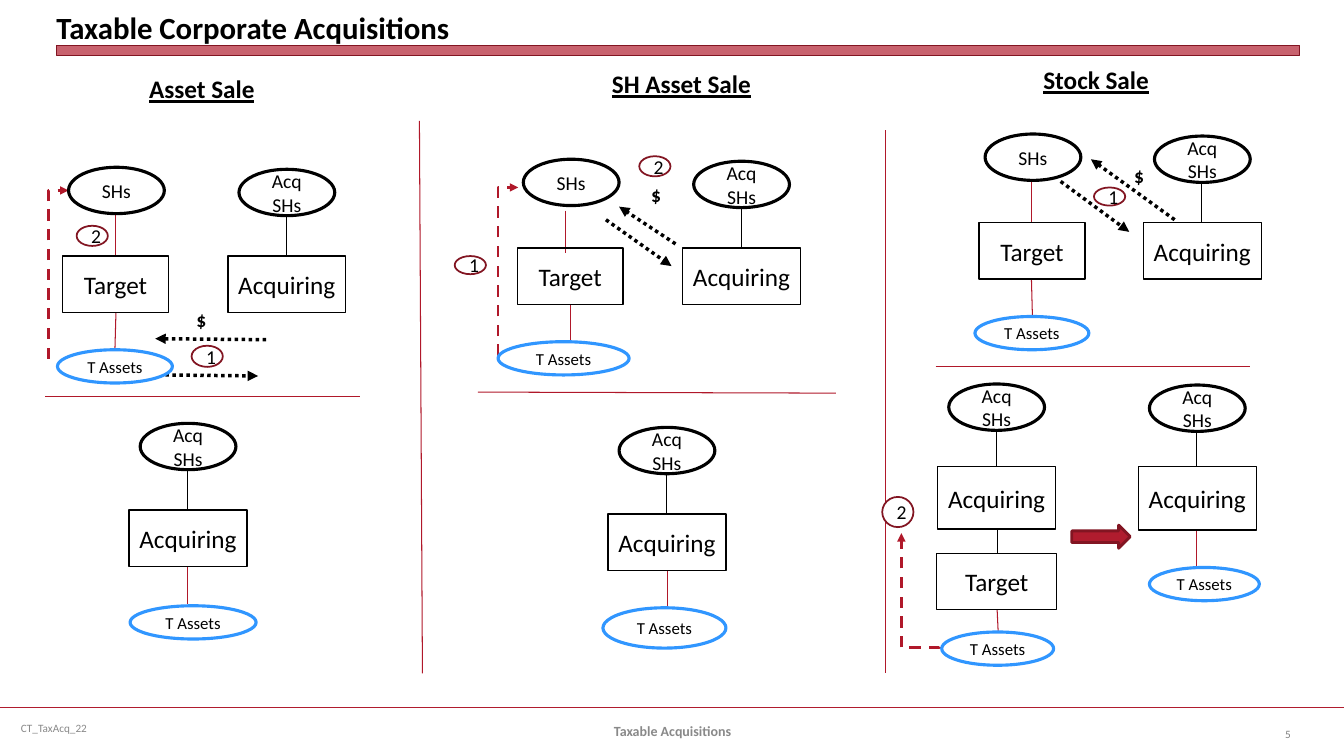
"""Build the slide that compares three forms of taxable corporate acquisition."""
from typing import NamedTuple

from lxml import etree
from pptx import Presentation
from pptx import util as u
from pptx.dml.color import RGBColor
from pptx.enum import dml, shapes, text
from pptx.oxml.ns import qn

BLACK, WHITE, GREY = "000000", "FFFFFF", "898989"
RED, BRAND_RED, DARK_RED, BLUE = "B0182A", "B01C2E", "821522", "3096FF"
RECTANGLE, OVAL = shapes.MSO_SHAPE.RECTANGLE, shapes.MSO_SHAPE.OVAL
LEFT, CENTER, RIGHT = text.PP_ALIGN.LEFT, text.PP_ALIGN.CENTER, text.PP_ALIGN.RIGHT
DOTTED, DASHED = dml.MSO_LINE.ROUND_DOT, dml.MSO_LINE.DASH


class Style(NamedTuple):
    preset: shapes.MSO_SHAPE
    line: str
    weight: float
    size: float = 18
    fill: str = ""


class Node(NamedTuple):
    style: Style
    left: float
    top: float
    width: float
    height: float
    words: str = ""


class Link(NamedTuple):
    start: tuple[float, float]
    end: tuple[float, float]
    color: str = RED
    weight: float = 0.75
    dash: dml.MSO_LINE | None = None
    arrow: bool = False


class Label(NamedTuple):
    words: str
    left: float
    top: float
    width: float
    height: float = 0.4
    size: float = 18
    color: str = BLACK
    bold: bool = True
    underline: bool = False
    align: text.PP_ALIGN = LEFT
    footer: bool = False


class Acquirer(NamedTuple):
    left: float
    top: float
    height: float = 0.56
    rise: float = 0.86
    owners: str = "Acq\nSHs"


COMPANY = Style(RECTANGLE, BLACK, 1)
HOLDERS = Style(OVAL, BLACK, 2.25, 14)
ASSETS = Style(OVAL, BLUE, 2.25, 12)
STEP = Style(OVAL, DARK_RED, 1.25, 14, WHITE)
TITLE_BAR = Style(RECTANGLE, DARK_RED, 0, fill=BRAND_RED)
RESULT = Style(shapes.MSO_SHAPE.RIGHT_ARROW, DARK_RED, 2, fill=BRAND_RED)

ACQUIRERS = [
    Acquirer(2.26, 2.54, owners="Acq SHs"), Acquirer(6.77, 2.46, owners="Acq SHs"),
    Acquirer(11.34, 2.21), Acquirer(1.28, 5.06), Acquirer(6.03, 5.1),
    Acquirer(9.3, 4.63, 0.62, 0.82), Acquirer(11.29, 4.63, 0.63, 0.81),
]
TARGETS = [(0.62, 2.54), (5.13, 2.46), (9.71, 2.21)]
ASSET_OVALS = [
    (0.57, 3.47, 1.14, 0.33), (4.94, 3.39, 1.3, 0.33), (9.67, 3.14, 1.13, 0.33),
    (1.29, 6.01, 1.25, 0.33), (5.98, 6.03, 1.22, 0.4), (9.34, 6.27, 1.11, 0.33),
    (11.4, 5.63, 1.09, 0.33),
]
STEPS = [
    Node(STEP, 1.9, 3.43, 0.31, 0.21, "1"), Node(STEP, 0.76, 2.24, 0.31, 0.2, "2"),
    Node(STEP, 4.51, 2.54, 0.31, 0.18, "1"), Node(STEP, 6.34, 1.55, 0.31, 0.2, "2"),
    Node(STEP, 10.85, 1.86, 0.31, 0.18, "1"), Node(STEP, 8.75, 4.93, 0.31, 0.3, "2"),
]
OWNERSHIP = [
    Link((1.15, 2.12), (1.15, 2.54)), Link((1.15, 3.1), (1.14, 3.47)),
    Link((5.61, 2.09), (5.61, 2.51)), Link((5.66, 3.02), (5.66, 3.39)),
    Link((10.23, 1.79), (10.23, 2.21)), Link((10.23, 2.77), (10.24, 3.14)),
    Link((1.86, 5.62), (1.86, 5.99)), Link((6.62, 5.66), (6.62, 6.03)),
    Link((9.89, 5.25), (9.89, 5.49), BLACK), Link((9.89, 6.05), (9.9, 6.27)),
    Link((11.87, 5.26), (11.87, 5.63)),
]
DIVIDERS = [
    Link((4.16, 1.2), (4.19, 6.68)), Link((8.78, 1.29), (8.78, 6.68)),
    Link((0.45, 3.93), (3.57, 3.93)), Link((4.74, 3.89), (8.29, 3.9)),
    Link((9.28, 3.64), (12.4, 3.64)), Link((0, 7.02), (13.33, 7.02), BRAND_RED, 1.25),
]
EXCHANGES = [Link(start, end, BLACK, 2.5, DOTTED, True) for start, end in [
    ((2.64, 3.37), (1.54, 3.36)), ((1.64, 3.72), (2.56, 3.73)),
    ((6.01, 2.18), (6.66, 2.64)), ((6.7, 2.42), (6.14, 2.05)),
    ((10.52, 1.8), (11.2, 2.3)), ((11.65, 2.18), (10.82, 1.58)),
]]
LIQUIDATIONS = [
    ((0.48, 3.56), (0.68, 1.89), 90, "bentConnector2"),
    ((4.94, 3.53), (5.14, 1.86), 90, "bentConnector2"),
    ((9.32, 6.42), (8.94, 5.29), 270, "bentConnector3"),
]
LABELS = [
    Label("Asset Sale", 1.38, 0.68, 1.26, underline=True),
    Label("SH Asset Sale", 5.97, 0.63, 1.65, underline=True),
    Label("Stock Sale", 10.25, 0.59, 1.26, underline=True),
    *[Label("$", left, top, 0.3, 0.34, 14)
      for left, top in [(1.85, 3.01), (6.36, 1.77), (11.15, 1.58)]],
    Label("CT_TaxAcq_22", 0.11, 7.02, 3.44, size=8, color=GREY, bold=False, footer=True),
    Label("Taxable Acquisitions", 4.56, 7.05, 4.22, size=10, color=GREY,
          align=CENTER, footer=True),
    Label("5", 12.23, 7.08, 0.67, size=8, color="808080", bold=False,
          align=RIGHT, footer=True),
]


def inches(*values: float) -> list[u.Length]:
    return [u.Cm(value * 2.54) for value in values]


def paint(color_format, color: str) -> None:
    color_format.rgb = RGBColor.from_string(color)


def format_text(frame, size: float, color: str = BLACK, bold: bool = False,
                align: text.PP_ALIGN = CENTER, underline: bool = False) -> None:
    for paragraph in frame.paragraphs:
        paragraph.alignment = align
        font = paragraph.font
        font.name, font.size = "Calibri", u.Pt(size)
        font.bold, font.underline = bold, underline
        paint(font.color, color)


def draw_node(slide, node: Node):
    style = node.style
    shape = slide.shapes.add_shape(
        style.preset, *inches(node.left, node.top, node.width, node.height))
    shape.shadow.inherit = False
    if style.fill:
        shape.fill.solid()
        paint(shape.fill.fore_color, style.fill)
    else:
        shape.fill.background()
    paint(shape.line.color, style.line)
    shape.line.width = u.Pt(style.weight)
    if node.words:
        shape.text_frame.text = node.words
        shape.text_frame.vertical_anchor = text.MSO_ANCHOR.MIDDLE
        format_text(shape.text_frame, style.size)
    return shape


def draw_link(slide, link: Link, kind=shapes.MSO_CONNECTOR.STRAIGHT):
    connector = slide.shapes.add_connector(kind, *inches(*link.start, *link.end))
    paint(connector.line.color, link.color)
    connector.line.width = u.Pt(link.weight)
    if link.dash:
        connector.line.dash_style = link.dash
    properties = connector._element.spPr
    if link.arrow:
        etree.SubElement(properties.find(qn("a:ln")), qn("a:tailEnd"), type="triangle")
    etree.SubElement(properties, qn("a:effectLst"))
    return connector


def draw_elbow(slide, start: tuple[float, float], end: tuple[float, float],
               turn: int, preset: str) -> None:
    middle_x, middle_y = (start[0] + end[0]) / 2, (start[1] + end[1]) / 2
    sign = 1 if turn == 90 else -1
    begin, finish = [(middle_x + sign * (y - middle_y), middle_y - sign * (x - middle_x))
                     for x, y in (start, end)]
    connector = draw_link(slide, Link(begin, finish, RED, 2, DASHED, True),
                          shapes.MSO_CONNECTOR.ELBOW)
    properties = connector._element.spPr
    properties.find(qn("a:xfrm")).set("rot", str(turn * 60000))
    geometry = properties.find(qn("a:prstGeom"))
    geometry.set("prst", preset)
    if preset == "bentConnector3":
        guides = geometry.find(qn("a:avLst"))
        if guides is None:
            guides = etree.SubElement(geometry, qn("a:avLst"))
        etree.SubElement(guides, qn("a:gd"), name="adj1", fmla="val -600")


def draw_label(slide, label: Label) -> None:
    box = slide.shapes.add_textbox(*inches(label.left, label.top, label.width, label.height))
    frame = box.text_frame
    frame.text = label.words
    frame.word_wrap = label.footer
    if label.footer:
        frame.vertical_anchor = text.MSO_ANCHOR.MIDDLE
    else:
        frame.auto_size = text.MSO_AUTO_SIZE.SHAPE_TO_FIT_TEXT
    format_text(frame, label.size, label.color, label.bold, label.align, label.underline)


def draw_title(slide) -> None:
    bar = draw_node(slide, Node(TITLE_BAR, 0.56, 0.45, 12.33, 0.1))
    color = bar._element.spPr.find(qn("a:solidFill"))[0]
    etree.SubElement(color, qn("a:alpha"), val="69000")
    title = slide.shapes.title
    title.left, title.top, title.width, title.height = inches(0.56, 0.05, 12.33, 0.4)
    frame = title.text_frame
    frame.text = "Taxable Corporate Acquisitions"
    frame.margin_left = frame.margin_right = frame.margin_top = frame.margin_bottom = 0
    frame.vertical_anchor = text.MSO_ANCHOR.BOTTOM
    format_text(frame, 22, bold=True, align=LEFT)


def main() -> None:
    presentation = Presentation()
    presentation.slide_width, presentation.slide_height = inches(13.33, 7.5)
    slide = presentation.slides.add_slide(presentation.slide_layouts[5])
    draw_title(slide)
    nodes = [Node(ASSETS, *place, "T Assets") for place in ASSET_OVALS]
    links = DIVIDERS + OWNERSHIP + EXCHANGES
    for left, top in TARGETS:
        nodes += [Node(COMPANY, left, top, 1.05, 0.56, "Target"),
                  Node(HOLDERS, left + 0.06, top - 0.88, 0.95, 0.46, "SHs")]
    for left, top, height, rise, owners in ACQUIRERS:
        nodes += [Node(COMPANY, left, top, 1.17, height, "Acquiring"),
                  Node(HOLDERS, left + 0.11, top - rise, 0.95, 0.46, owners)]
        links += [Link((left + 0.58, top - rise + 0.46), (left + 0.58, top), BLACK)]
    nodes += [Node(COMPANY, 9.29, 5.49, 1.19, 0.56, "Target"),
              Node(RESULT, 10.63, 5.21, 0.58, 0.23)]
    for link in links:
        draw_link(slide, link)
    for liquidation in LIQUIDATIONS:
        draw_elbow(slide, *liquidation)
    for node in nodes + STEPS:
        draw_node(slide, node)
    for label in LABELS:
        draw_label(slide, label)
    presentation.save("out.pptx")


if __name__ == "__main__":
    main()
